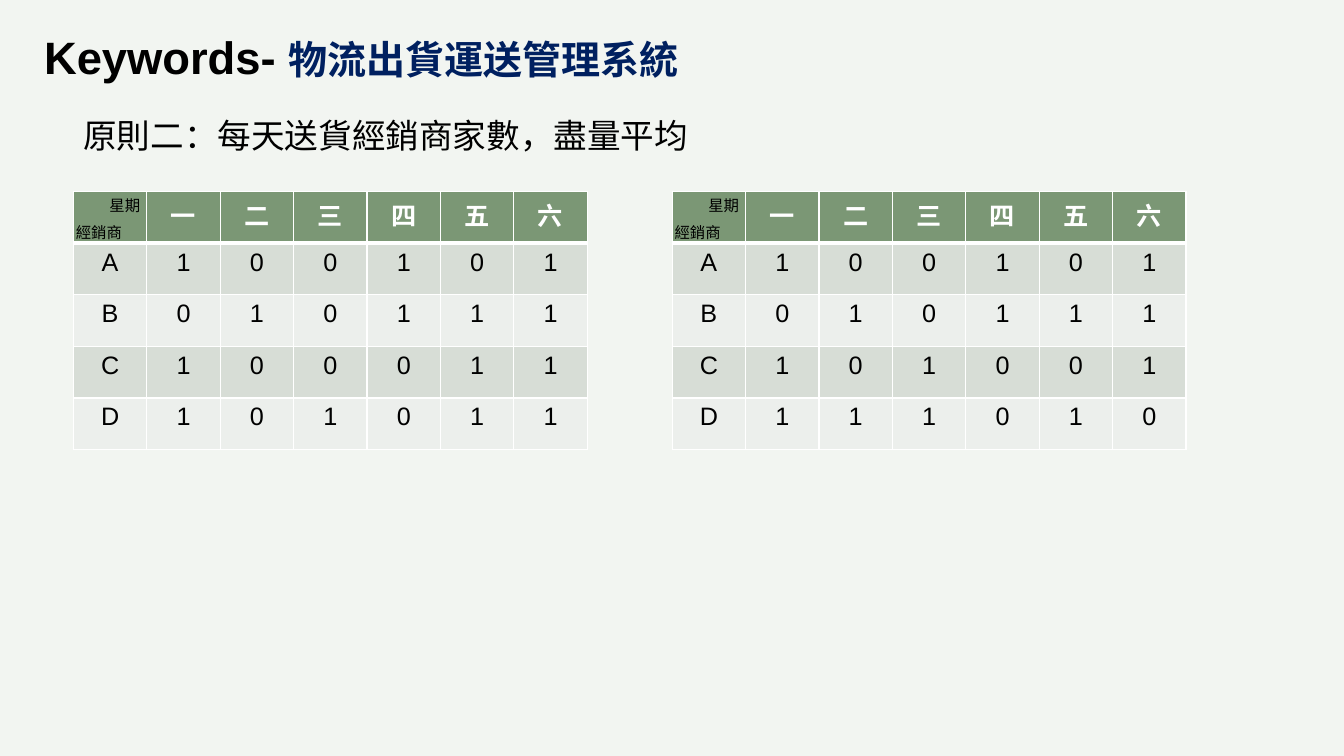
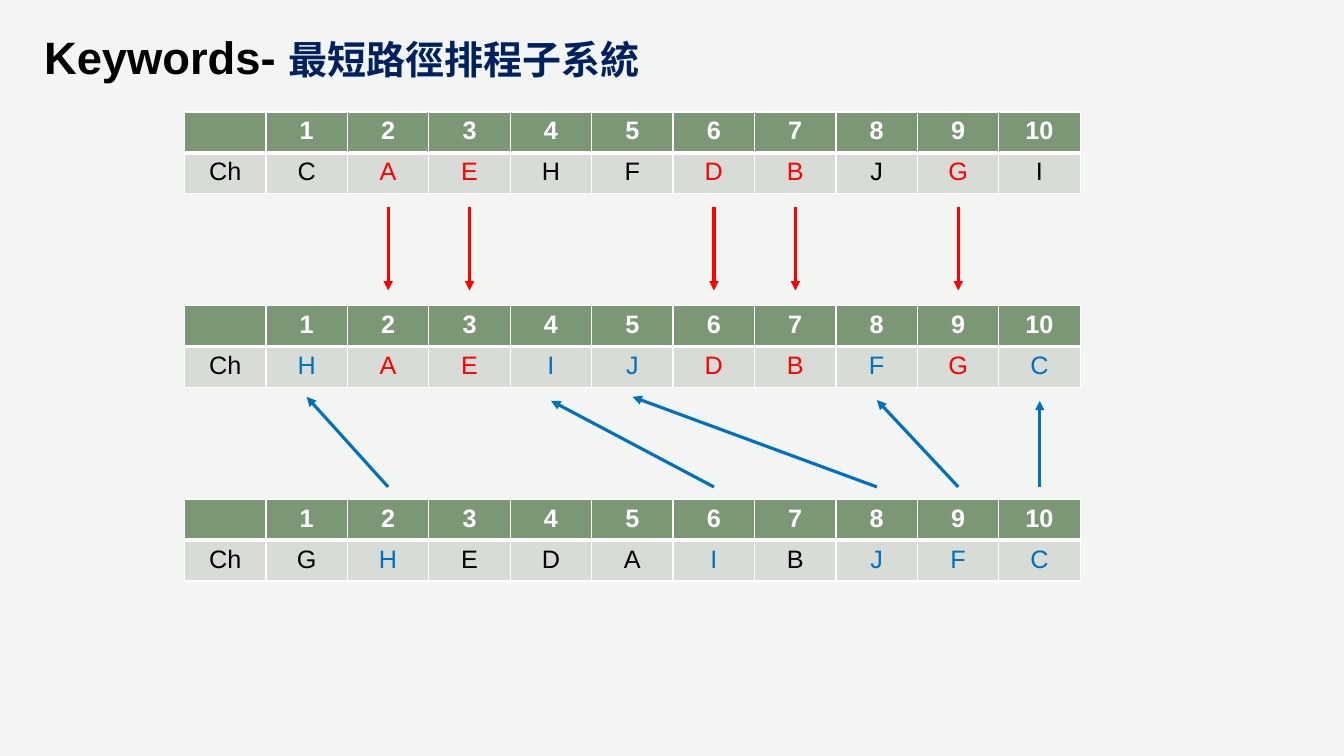
from lxml import etree
from pptx import Presentation
from pptx.dml.color import RGBColor
from pptx.enum.shapes import MSO_CONNECTOR
from pptx.enum.text import MSO_ANCHOR, PP_ALIGN
from pptx.oxml.ns import qn
from pptx.util import Cm, Pt

STRAIGHT = MSO_CONNECTOR.STRAIGHT
TOP, BOTTOM = MSO_ANCHOR.TOP, MSO_ANCHOR.BOTTOM
LEFT, CENTER = PP_ALIGN.LEFT, PP_ALIGN.CENTER

BACKGROUND = "F2F5F1"
HEADER_GREEN = "7B9775"
BAND_COLORS = ("ECEFEC", "D7DDD6")
BLACK, WHITE, NAVY = "000000", "FFFFFF", "002060"
RED, BLUE = "FF0000", "0070C0"

# Weekly delivery tables, in cm
WEEK_TOP, WEEK_COLUMN, WEEK_ROW = 4.83, 1.85, 1.3
WEEK_LEFTS = (1.85, 16.94)
WEEK_HEADER = ["", *"一二三四五六"]
WEEK_PLANS = (
    ("A100101", "B010111", "C100011", "D101011"),
    ("A100101", "B010111", "C101001", "D111010"),
)

# Chromosome tables, in cm
GENE_LEFT, GENE_TOP, GENE_STEP = 4.65, 2.82, 4.88
GENE_COLUMN, GENE_ROW = 22.58 / 11, 1.03
GENE_HEADER = ["", *map(str, range(1, 11))]
RED_GENES = dict.fromkeys("AEDBG", RED)
BLUE_GENES = dict.fromkeys("HIJFC", BLUE)
CHROMOSOMES = (
    ("CAEHFDBJGI", RED_GENES, 0.98),
    ("HAEIJDBFGC", RED_GENES | BLUE_GENES, GENE_ROW),
    ("GHEDAIBJFC", BLUE_GENES, GENE_ROW),
)
KEPT_POSITIONS = (2, 3, 6, 7, 9)
FILLED_POSITIONS = ((2, 1, 10), (6, 4, 10.1), (8, 5, 10), (9, 8, 10.08), (10, 10, 10.1))


def rgb(color):
    return RGBColor.from_string(color)


def write(paragraph, text, size=18, color=BLACK, bold=False, font="Arial", align=LEFT):
    paragraph.alignment = align
    run = paragraph.add_run()
    run.text = text
    run.font.size = Pt(size)
    run.font.name = font
    run.font.bold = bold
    run.font.color.rgb = rgb(color)


def add_box(slide, left, top, width, height, wrap=True, anchor=TOP, spacing=1):
    """Add an empty text box and return its first paragraph."""
    frame = slide.shapes.add_textbox(Cm(left), Cm(top), Cm(width), Cm(height)).text_frame
    frame.word_wrap = wrap
    frame.vertical_anchor = anchor
    frame.paragraphs[0].line_spacing = spacing
    return frame.paragraphs[0]


def add_titled_slide(presentation, topic):
    slide = presentation.slides.add_slide(presentation.slide_layouts[6])
    title = add_box(slide, 0.86, 0.74, 30.18, 1.52, anchor=BOTTOM, spacing=0.9)
    write(title, "Keywords- ", size=32.4, bold=True)
    write(title, topic, size=27.9, color=NAVY, bold=True)
    return slide


def set_borders(cell, top=1, bottom=1):
    properties = cell._tc.get_or_add_tcPr()
    for index, (side, width) in enumerate((("L", 1), ("R", 1), ("T", top), ("B", bottom))):
        line = etree.Element(qn(f"a:ln{side}"), w=str(Pt(width)))
        fill = etree.SubElement(line, qn("a:solidFill"))
        etree.SubElement(fill, qn("a:srgbClr"), val=WHITE)
        properties.insert(index, line)


def add_grid(slide, left, top, rows, column_width, row_heights, text_colors):
    """Add a table with a green header, banded rows and white borders."""
    frame = slide.shapes.add_table(
        len(rows), len(rows[0]), Cm(left), Cm(top),
        Cm(column_width * len(rows[0])), Cm(sum(row_heights)))
    table = frame.table
    table.first_row = table.horz_banding = False
    for column in table.columns:
        column.width = Cm(column_width)
    for row_index, texts in enumerate(rows):
        table.rows[row_index].height = Cm(row_heights[row_index])
        is_header = row_index == 0
        for column_index, text in enumerate(texts):
            cell = table.cell(row_index, column_index)
            cell.fill.solid()
            cell.fill.fore_color.rgb = rgb(HEADER_GREEN if is_header else BAND_COLORS[row_index % 2])
            set_borders(cell, top=3 if row_index == 1 else 1, bottom=3 if is_header else 1)
            if text:
                color = WHITE if is_header else text_colors.get(text, BLACK)
                write(cell.text_frame.paragraphs[0], text, color=color, bold=is_header, align=CENTER)


def add_arrow(slide, start, end, color):
    arrow = slide.shapes.add_connector(STRAIGHT, *map(Cm, (*start, *end)))
    arrow.line.color.rgb = rgb(color)
    arrow.line.width = Pt(2.25)
    etree.SubElement(arrow.line._get_or_add_ln(), qn("a:tailEnd"), type="triangle")
    etree.SubElement(arrow._element.spPr, qn("a:effectLst"))


def gene_center(position):
    return GENE_LEFT + GENE_COLUMN * (position + 0.5)


def add_delivery_slide(presentation):
    slide = add_titled_slide(presentation, "物流出貨運送管理系統")
    principle = add_box(slide, 1.85, 2.26, 30.18, 1.63, spacing=1.5)
    write(principle, "原則二：每天送貨經銷商家數，盡量平均", size=24, font="Times New Roman")
    for left, plan in zip(WEEK_LEFTS, WEEK_PLANS):
        rows = [WEEK_HEADER, *map(list, plan)]
        add_grid(slide, left, WEEK_TOP, rows, WEEK_COLUMN, [WEEK_ROW] * len(rows), {})
        dealer = add_box(slide, left - 0.19, WEEK_TOP + 0.66, 1.68, 0.73, wrap=False)
        write(dealer, "經銷商", size=11)
        weekday = add_box(slide, left + 0.66, WEEK_TOP, 1.3, 0.73, wrap=False)
        write(weekday, "星期", size=11)


def add_route_slide(presentation):
    slide = add_titled_slide(presentation, "最短路徑排程子系統")
    for index, (genes, colors, gene_height) in enumerate(CHROMOSOMES):
        add_grid(slide, GENE_LEFT, GENE_TOP + index * GENE_STEP, [GENE_HEADER, ["Ch", *genes]],
                 GENE_COLUMN, [GENE_ROW, gene_height], colors)
    for position in KEPT_POSITIONS:
        center = gene_center(position)
        add_arrow(slide, (center, 5.22), (center, 7.32), RED)
    for source, target, tip in FILLED_POSITIONS:
        add_arrow(slide, (gene_center(source), 12.27), (gene_center(target), tip), BLUE)


def main():
    presentation = Presentation()
    presentation.slide_width, presentation.slide_height = Cm(33.87), Cm(19.05)
    background = presentation.slide_master.background.fill
    background.solid()
    background.fore_color.rgb = rgb(BACKGROUND)
    add_delivery_slide(presentation)
    add_route_slide(presentation)
    presentation.save("out.pptx")


if __name__ == "__main__":
    main()
